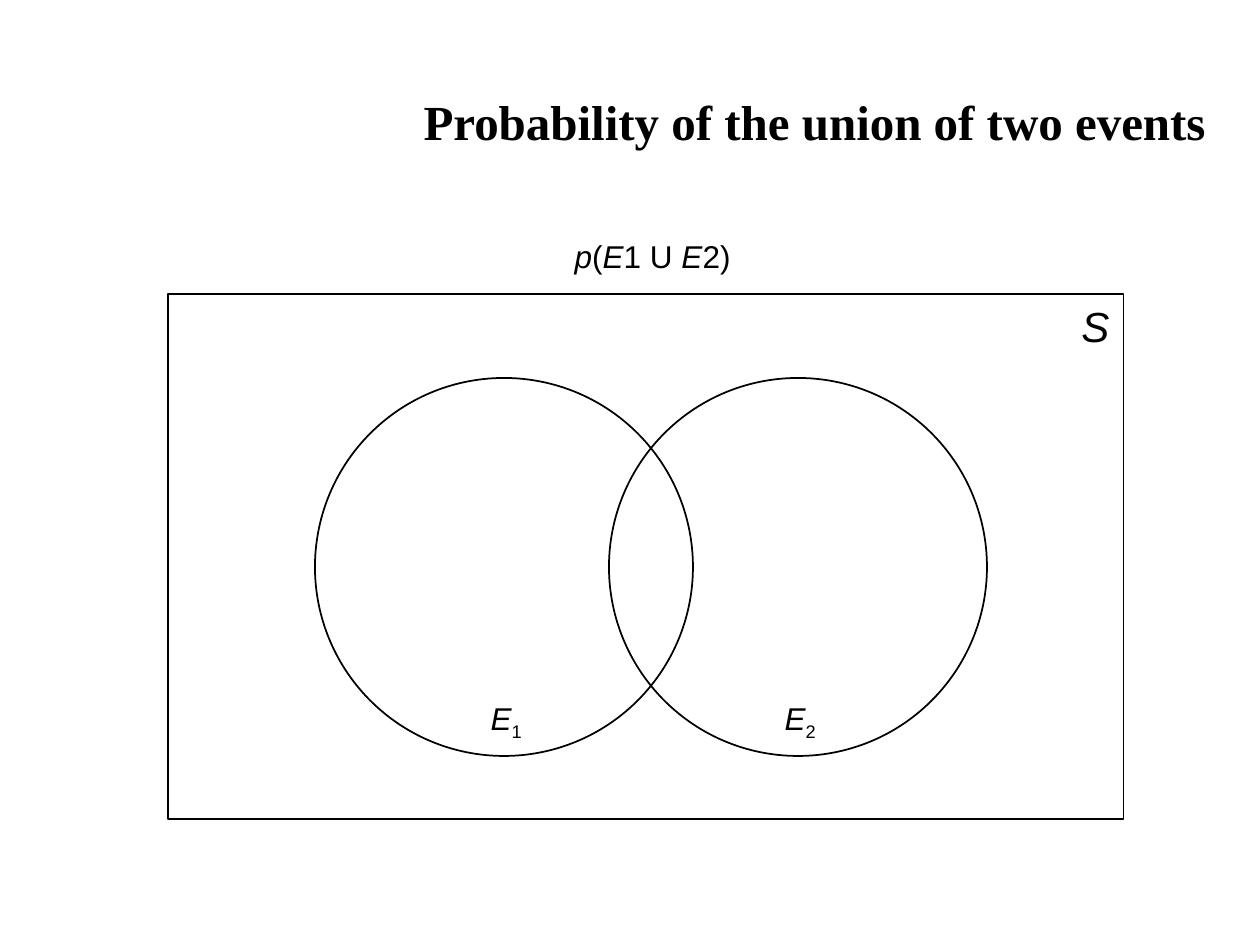
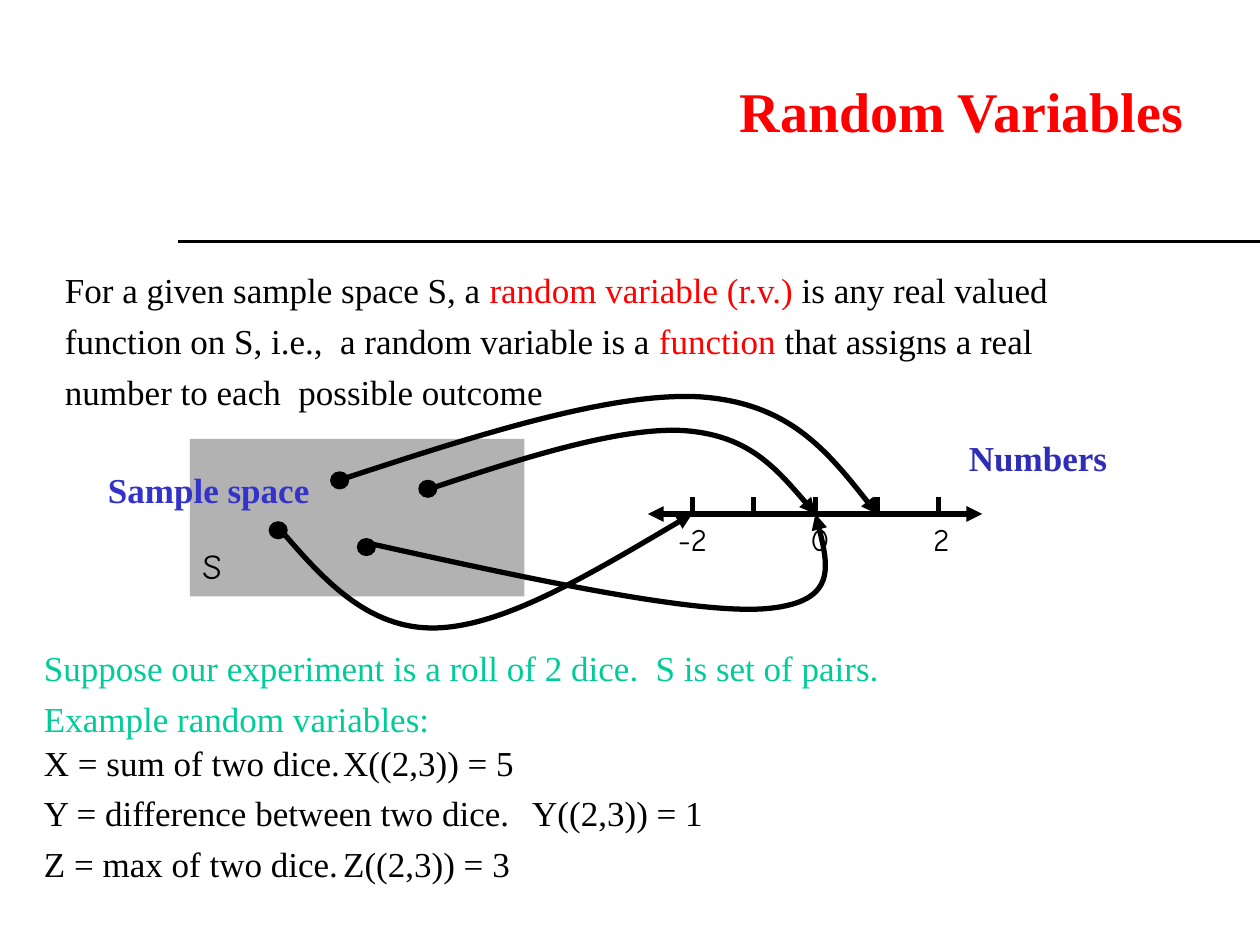
import pptx
import pptx.dml.color
import pptx.enum.shapes
import pptx.enum.text
import pptx.oxml
import pptx.oxml.ns
import pptx.util

RGB = pptx.dml.color.RGBColor
BLACK = RGB(0x00, 0x00, 0x00)
RED = RGB(0xFF, 0x00, 0x00)
GREEN = RGB(0x00, 0xCC, 0x99)
GRAY = RGB(0xB2, 0xB2, 0xB2)
BLUE = RGB(0x33, 0x33, 0xCC)
DARK_BLUE = RGB(0x2D, 0x2D, 0xB9)
SERIF, SANS, COMIC = "Times New Roman", "Arial", "Comic Neue"

MSO = pptx.enum.shapes.MSO_SHAPE
STRAIGHT = pptx.enum.shapes.MSO_CONNECTOR.STRAIGHT
ALIGN = pptx.enum.text.PP_ALIGN
ANCHOR = pptx.enum.text.MSO_ANCHOR
qn = pptx.oxml.ns.qn

prs = pptx.Presentation()
prs.slide_width = pptx.util.Inches(10)
prs.slide_height = pptx.util.Inches(7.5)
U = prs.slide_width / 120  # square grid: 120 columns by 90 rows
BLANK = prs.slide_layouts[6]


def grid(*cells):
    """Turn grid columns and rows into slide lengths."""
    return [pptx.util.Emu(round(c * U)) for c in cells]


def add_text(s, box, paragraphs, size=20, font=SERIF, color=BLACK, bold=False,
             align=ALIGN.LEFT, anchor=ANCHOR.TOP, wrap=True, hanging=False, tab_stops=()):
    """Add a text box; a paragraph is a list of (text, run format) pairs.

    tab_stops holds one position in inches for each paragraph.
    """
    tf = s.shapes.add_textbox(*grid(*box)).text_frame
    tf.word_wrap = wrap
    tf.vertical_anchor = anchor
    for i, runs in enumerate(paragraphs):
        p = tf.paragraphs[0] if i == 0 else tf.add_paragraph()
        p.alignment = align
        pPr = p._p.get_or_add_pPr()
        if tab_stops:
            tabs = pptx.oxml.parse_xml(f"<a:tabLst {pptx.oxml.ns.nsdecls('a')}/>")
            tabs.append(tabs.makeelement(
                qn("a:tab"), {"pos": str(pptx.util.Inches(tab_stops[i])), "algn": "l"}))
            pPr.append(tabs)
        if hanging:
            indent = pptx.util.Pt(27)
            pPr.set("marL", str(indent))
            pPr.set("indent", str(-indent))
            if i > 0:
                p.space_before = pptx.util.Pt(5)
        for text, fmt in runs:
            r = p.add_run()
            r.text = text
            r.font.name = font
            r.font.size = pptx.util.Pt(size)
            r.font.bold = bold
            r.font.italic = fmt.get("italic", False)
            r.font.color.rgb = fmt.get("color", color)
            if fmt.get("subscript"):
                r._r.get_or_add_rPr().set("baseline", "-25000")


shapes_to_style = []  # (shape, fill, line width, arrowhead ends)
PLAIN, ITALIC, SUB, RED_RUN = {}, {"italic": True}, {"subscript": True}, {"color": RED}
TITLE = dict(bold=True, align=ALIGN.RIGHT, anchor=ANCHOR.MIDDLE)

# Slide 1: Venn diagram
s = prs.slides.add_slide(BLANK)
add_text(s, (14, 4, 102, 15), [[("Probability of the union of two events", PLAIN)]],
         size=28, **TITLE)
sp = s.shapes.add_shape(MSO.RECTANGLE, *grid(16, 28, 91, 50))
shapes_to_style.append((sp, None, 1, ()))

LABEL = dict(font=SANS, align=ALIGN.CENTER, wrap=False)
add_text(s, (101.8, 28, 5, 6), [[("S", ITALIC)]], size=24, **LABEL)
for number, left in (("1", 30), ("2", 58)):
    sp = s.shapes.add_shape(MSO.OVAL, *grid(left, 36, 36, 36))
    shapes_to_style.append((sp, None, 1, ()))
    add_text(s, (left + 15.5, 66, 5.4, 5.3), [[("E", ITALIC), (number, SUB)]],
             size=18, **LABEL)
add_text(s, (53.55, 22, 17.2, 4.8),
         [[("p", ITALIC), ("(", PLAIN), ("E", ITALIC), ("1 U ", PLAIN),
           ("E", ITALIC), ("2)", PLAIN)]], size=18, **LABEL)

# Slide 2: mapping from the sample space to the number line
s = prs.slides.add_slide(BLANK)
sp = s.shapes.add_connector(STRAIGHT, *grid(17, 23, 120, 23))
shapes_to_style.append((sp, None, 2.25, ()))
add_text(s, (2.9, 3, 111, 15), [[("Random Variables", RED_RUN)]], size=32, **TITLE)
add_text(s, (5, 25, 99, 8), [
    [("For a given sample space S, a ", PLAIN), ("random variable (r.v.)", RED_RUN),
     (" is any real valued", PLAIN)],
    [("function on S, i.e.,  a random variable is a ", PLAIN), ("function", RED_RUN),
     (" that assigns a real", PLAIN)],
    [("number to each  possible outcome", PLAIN)],
], hanging=True)
add_text(s, (3, 61, 105, 8), [
    [("Suppose our experiment is a roll of 2 dice.  S is set of pairs.", PLAIN)],
    [("Example random variables:", PLAIN)],
], color=GREEN, hanging=True)

sp = s.shapes.add_shape(MSO.RECTANGLE, *grid(18.1, 41.8, 31.85, 15))
shapes_to_style.append((sp, GRAY, 0, ()))
add_text(s, (18.1, 51.3, 7.5, 6.4), [[("S", PLAIN)]], font=COMIC)

AXIS = 48.95
sp = s.shapes.add_connector(STRAIGHT, *grid(61.7, AXIS, 93.55, AXIS))
shapes_to_style.append((sp, None, 3, ("headEnd", "tailEnd")))
ticks = {value: 77.66 + 5.87 * value for value in range(-2, 3)}
for x in ticks.values():
    sp = s.shapes.add_connector(STRAIGHT, *grid(x, AXIS - 1.6, x, AXIS))
    shapes_to_style.append((sp, None, 3, ()))
for value, left in ((-2, 63.4), (0, 76), (2, 87.7)):
    add_text(s, (left, AXIS, 7.5, 6.4), [[(str(value), PLAIN)]], size=18, font=COMIC)

for left, top in ((25.65, 49.7), (31.5, 44.95), (34.05, 51.3), (39.9, 45.75)):
    sp = s.shapes.add_shape(MSO.OVAL, *grid(left, top, 1.7, 1.6))
    shapes_to_style.append((sp, BLACK, 0.75, ()))

# Each arrow joins two cubic Bezier curves and ends on a tick
arrows = [
    (-2, [(26.5, 50.2), (30.7, 55.1), (35, 60), (41.6, 59.8), (48.1, 59.6), (57, 54.2)]),
    (0, [(34.9, 51.7), (50.2, 55.1), (65.5, 58.4), (72.6, 58), (79.8, 57.5), (78.8, 53.2)]),
    (0, [(40.8, 46.6), (49.8, 43.6), (58.9, 40.7), (65, 41), (71.2, 41.4), (74.4, 45.1)]),
    (1, [(32.4, 45.7), (45.2, 41.5), (58.2, 37.3), (66.7, 37.8), (75.2, 38.4), (79.4, 43.7)]),
]
for value, points in arrows:
    start, *rest = [grid(*point) for point in points + [(ticks[value], AXIS)]]
    builder = s.shapes.build_freeform(*start)
    builder.add_line_segments(rest[2::3], close=False)
    sp = builder.convert_to_shape()
    path = sp._element.spPr.find(".//" + qn("a:path"))
    for i, line_to in enumerate(path.findall(qn("a:lnTo"))):
        curve_to = path.makeelement(qn("a:cubicBezTo"), {})
        for x, y in rest[3 * i:3 * i + 3]:
            curve_to.append(path.makeelement(
                qn("a:pt"), {"x": str(x - sp.left), "y": str(y - sp.top)}))
        path.replace(line_to, curve_to)
    shapes_to_style.append((sp, None, 3, ("tailEnd",)))

add_text(s, (3, 70, 105, 8), [
    [("X = sum of two dice.\tX((2,3)) = 5", PLAIN)],
    [("Y = difference between two dice.\tY((2,3)) = 1", PLAIN)],
    [("Z = max of two dice.\tZ((2,3)) = 3", PLAIN)],
], hanging=True, tab_stops=(4, 5, 4))
add_text(s, (9.1, 44, 21.6, 5.3), [[("Sample space", PLAIN)]],
         color=BLUE, bold=True, wrap=False)
add_text(s, (91.1, 41, 15.6, 5.3), [[("Numbers", PLAIN)]],
         color=DARK_BLUE, bold=True, wrap=False)

# Fill, line, arrowheads and no shadow for every drawn shape
for sp, fill, width, ends in shapes_to_style:
    if hasattr(sp, "fill"):
        if fill is None:
            sp.fill.background()
        else:
            sp.fill.solid()
            sp.fill.fore_color.rgb = fill
    if width:
        sp.line.color.rgb = BLACK
        sp.line.width = pptx.util.Pt(width)
    else:
        sp.line.fill.background()
    spPr = sp._element.spPr
    ln = spPr.find(qn("a:ln"))
    for end in ends:
        ln.append(ln.makeelement(qn(f"a:{end}"), {"type": "triangle"}))
    spPr.append(spPr.makeelement(qn("a:effectLst"), {}))

prs.save("out.pptx")
